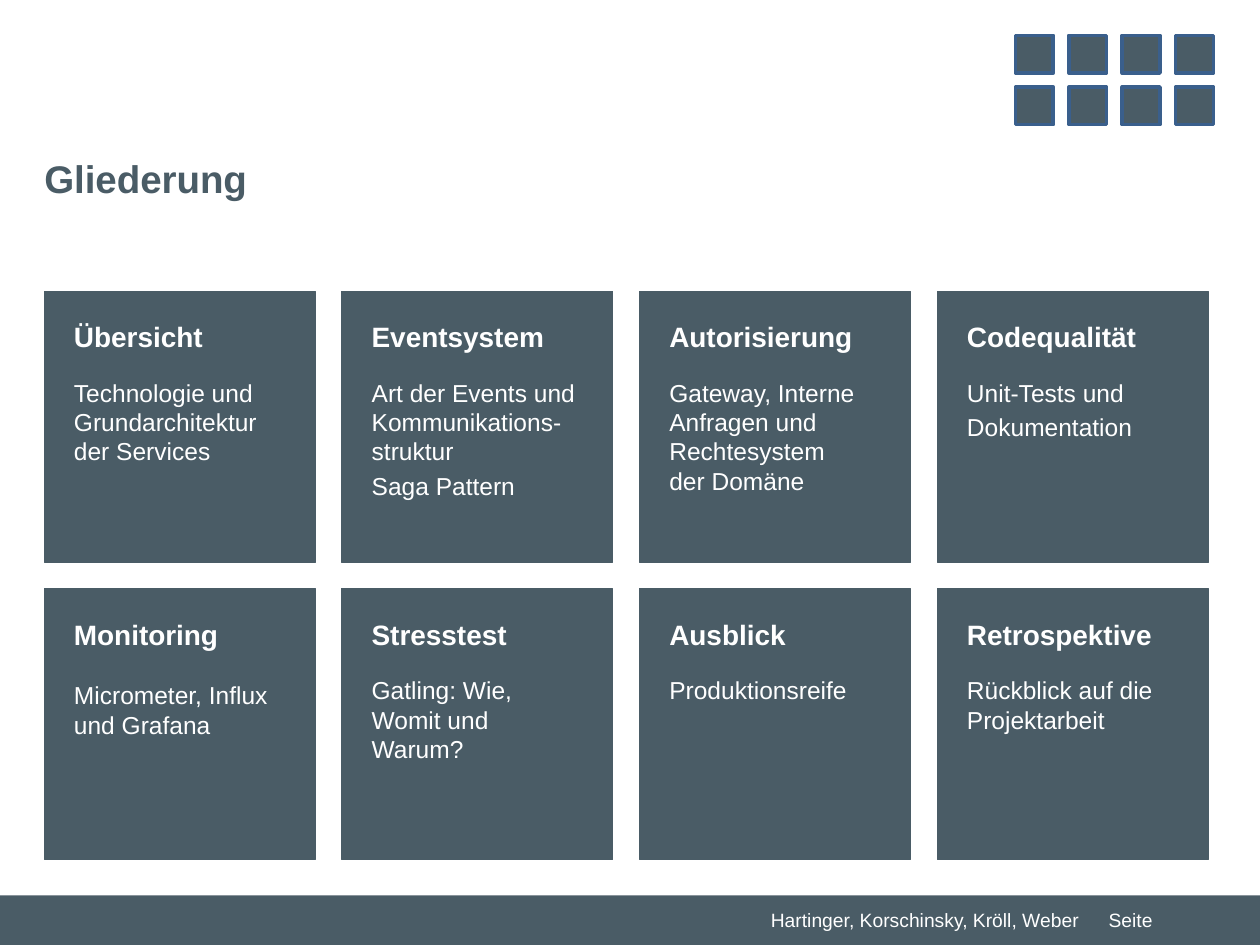
from pptx import Presentation
from pptx.dml.color import RGBColor
from pptx.enum.shapes import MSO_SHAPE as Shape
from pptx.enum.text import MSO_ANCHOR as Anchor, PP_ALIGN as Align
from pptx.util import Pt

SLATE = RGBColor(0x4A, 0x5C, 0x66)
BLUE = RGBColor(0x3A, 0x5F, 0x8C)
WHITE = RGBColor(0xFF, 0xFF, 0xFF)
FONT = "Arial"

TITLE = "Gliederung"
AUTHORS = "Hartinger, Korschinsky, Kröll, Weber"
PAGE_LABEL = "Seite"
NARROW, WIDE = 119, 135
TOPICS = [
    ("Übersicht", ["Technologie und Grundarchitektur der Services"], NARROW, 0),
    ("Eventsystem", ["Art der Events und Kommunikations-struktur", "Saga Pattern"], WIDE, 0),
    ("Autorisierung", ["Gateway, Interne Anfragen und Rechtesystem der Domäne"], NARROW, 0),
    ("Codequalität", ["Unit-Tests und", "Dokumentation"], NARROW, 0),
    ("Monitoring", ["Micrometer, Influx und Grafana"], NARROW, 3),
    ("Stresstest", ["Gatling: Wie, Womit und Warum?"], NARROW, 0),
    ("Ausblick", ["Produktionsreife"], NARROW, 0),
    ("Retrospektive", ["Rückblick auf die Projektarbeit"], NARROW, 0),
]
COLUMNS = 4
CARD_LEFT, CARD_TOP, CARD_SIZE, CARD_PITCH = 25.3, 166.4, 154.8, 170.1
TEXT_INDENT, HEADING_DROP, BODY_DROP = 17, 12.8, 45.8
TILE_LEFT, TILE_TOP, TILE_SIZE = 580.3, 20.2, 21.6
TILE_PITCH_X, TILE_PITCH_Y = 30.5, 29.5


def place(shape, left, top, width, height):
    shape.left, shape.top = Pt(left), Pt(top)
    shape.width, shape.height = Pt(width), Pt(height)


def write(shape, lines, size, color=WHITE, bold=False, inset_left=0, inset_right=7.2, wrap=True):
    frame = shape.text_frame
    frame.word_wrap = wrap
    frame.vertical_anchor = Anchor.TOP
    frame.margin_left, frame.margin_right = Pt(inset_left), Pt(inset_right)
    frame.margin_top = frame.margin_bottom = Pt(3.6)
    frame.text = "\n".join(lines)
    for index, paragraph in enumerate(frame.paragraphs):
        paragraph.alignment = Align.LEFT
        paragraph.space_before = Pt(size * 0.2 if index else 0)
        font = paragraph.font
        font.name, font.size, font.bold = FONT, Pt(size), bold
        font.color.rgb = color


def add_text(shapes, box, lines, **text_format):
    write(shapes.add_textbox(*map(Pt, box)), lines, **text_format)


def add_rectangle(shapes, box, line_color=None, line_width=0.5):
    shape = shapes.add_shape(Shape.RECTANGLE, *map(Pt, box))
    shape.shadow.inherit = False
    shape.fill.solid()
    shape.fill.fore_color.rgb = SLATE
    if line_color is None:
        shape.line.fill.background()
    else:
        shape.line.color.rgb = line_color
        shape.line.width = Pt(line_width)


presentation = Presentation()
presentation.slide_width, presentation.slide_height = Pt(720), Pt(540)
slide = presentation.slides.add_slide(presentation.slide_layouts[5])
shapes = slide.shapes

place(shapes.title, 25.3, 85, 669, 45.4)
write(shapes.title, [TITLE], size=22, color=SLATE, bold=True, inset_right=0)

add_rectangle(shapes, (0, 511.7, 720, 28.3))
for label, left, width in [(AUTHORS, 433.4, 193), (PAGE_LABEL, 626.4, 45.4)]:
    add_text(shapes, (left, 515.5, width, 20.9), [label], size=11, inset_left=7.2, wrap=False)

tiles = shapes.add_group_shape().shapes
for index, (heading, body, body_width, extra_drop) in enumerate(TOPICS):
    row, column = divmod(index, COLUMNS)
    left = CARD_LEFT + column * CARD_PITCH
    top = CARD_TOP + row * CARD_PITCH
    text_left = left + TEXT_INDENT
    add_rectangle(shapes, (left, top, CARD_SIZE, CARD_SIZE), line_color=SLATE)
    add_text(shapes, (text_left, top + HEADING_DROP, NARROW, 51), [heading], size=16, bold=True)
    add_text(shapes, (text_left, top + BODY_DROP + extra_drop, body_width, 91.4), body, size=14)
    tile = (TILE_LEFT + column * TILE_PITCH_X, TILE_TOP + row * TILE_PITCH_Y, TILE_SIZE, TILE_SIZE)
    add_rectangle(tiles, tile, line_color=BLUE, line_width=2)

presentation.save("out.pptx")
